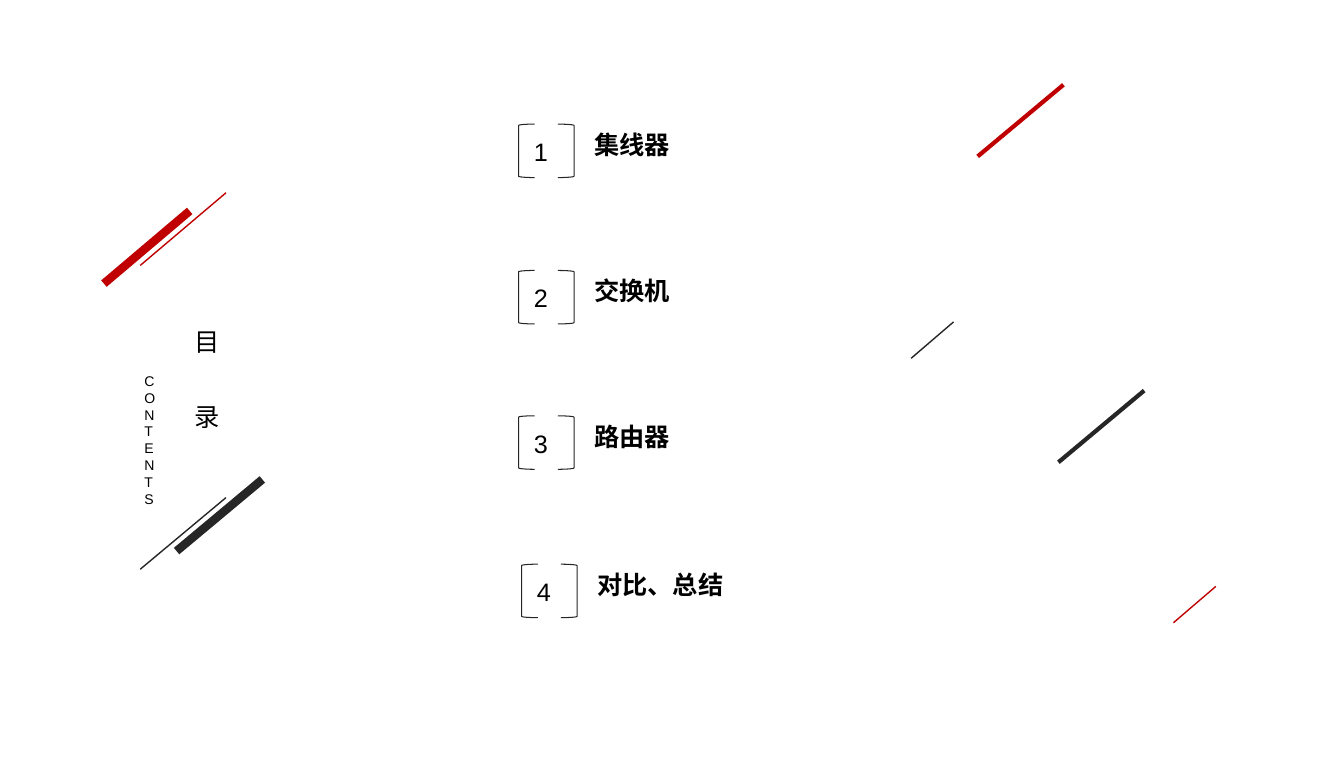
from lxml import etree
from pptx import Presentation
from pptx.dml.color import RGBColor
from pptx.enum.shapes import MSO_CONNECTOR, MSO_SHAPE
from pptx.enum.text import MSO_ANCHOR, MSO_AUTO_SIZE, PP_ALIGN
from pptx.oxml.ns import qn
from pptx.util import Inches, Pt

STRAIGHT = MSO_CONNECTOR.STRAIGHT
LEFT_BRACKET, RIGHT_BRACKET = MSO_SHAPE.LEFT_BRACKET, MSO_SHAPE.RIGHT_BRACKET
TOP, FIT, LEFT = MSO_ANCHOR.TOP, MSO_AUTO_SIZE.SHAPE_TO_FIT_TEXT, PP_ALIGN.LEFT
LATIN, CJK = "Arial", "Noto Sans CJK SC"
RED, DARK, BLACK = "C00000", "262626", "000000"


def rgb(value):
    """Turn a hex string into a colour."""
    return RGBColor.from_string(value)


def write(sp, text, font=LATIN, size=18, color=BLACK, bold=False, spacing=1.0, wrap=False):
    """Fill a shape with formatted text, one paragraph per line."""
    tf = sp.text_frame
    tf.margin_left = tf.margin_right = tf.margin_top = tf.margin_bottom = Inches(0.05)
    tf.word_wrap, tf.auto_size, tf.vertical_anchor = wrap, FIT, TOP
    for i, line in enumerate(text.split("\n")):
        p = tf.add_paragraph() if i else tf.paragraphs[0]
        p.alignment, p.line_spacing = LEFT, spacing
        r = p.add_run()
        r.text = line
        r.font.size, r.font.bold = Pt(size), bold
        r.font.color.rgb = rgb(color)
        r.font.name = font
        etree.SubElement(r._r.get_or_add_rPr(), qn("a:ea")).set("typeface", font)


def add_text(shapes, x, y, w, h, text, **fmt):
    """Add a text box."""
    write(shapes.add_textbox(Inches(x), Inches(y), Inches(w), Inches(h)), text, **fmt)


def add_stripe(shapes, x, y, w, h, color, weight):
    """Draw a stripe from the top right to the bottom left of its box."""
    line = shapes.add_connector(STRAIGHT, Inches(x + w), Inches(y), Inches(x), Inches(y + h))
    line.line.color.rgb = rgb(color)
    line.line.width = Pt(weight)
    etree.SubElement(line._element.spPr, qn("a:effectLst"))


def add_bracket(shapes, kind, x, y):
    """Draw one half of the frame around a number."""
    sp = shapes.add_shape(kind, Inches(x), Inches(y), Inches(0.16), Inches(0.53))
    sp.shadow.inherit = False
    sp.fill.background()
    sp.line.color.rgb = rgb(DARK)
    sp.line.width = Pt(0.75)


def add_heading(s, x, y):
    """Place the vertical title and its subtitle between two pairs of stripes."""
    for stripes in (
        [(0, 0.18, 0.85, 0.72, RED, 6), (0.36, 0, 0.85, 0.72, RED, 1)],
        [(0.72, 2.84, 0.85, 0.71, DARK, 6), (0.36, 3.02, 0.85, 0.71, DARK, 1)],
    ):
        group = s.shapes.add_group_shape()
        for dx, dy, *style in stripes:
            add_stripe(group.shapes, x + dx, y + dy, *style)
    title = s.shapes.title
    title.left, title.top = Inches(x + 0.85), Inches(y + 0.82)
    title.width, title.height = Inches(0.43), Inches(1.32)
    write(title, "目\n录", font=CJK, spacing=2.5)
    add_text(s.shapes, x + 0.35, y + 1.73, 0.25, 1.32, "CONTENTS", size=10, wrap=True)


def add_entry(s, x, y, number, label):
    """Place a bracketed number and its label."""
    shapes = s.shapes.add_group_shape().shapes
    add_text(shapes, x + 0.1, y + 0.07, 0.25, 0.38, str(number))
    add_bracket(shapes, LEFT_BRACKET, x, y)
    add_bracket(shapes, RIGHT_BRACKET, x + 0.39, y)
    add_text(shapes, x + 0.7, y, 0.25 * len(label) + 0.11, 0.4, label, font=CJK, bold=True)


def add_decoration(s, x, y):
    """Scatter stripes over the right side."""
    for dx, dy, w, h, color, weight in (
        (0.66, 0, 0.85, 0.71, RED, 3),
        (0, 2.35, 0.42, 0.36, DARK, 1),
        (2.6, 4.97, 0.42, 0.36, RED, 1),
        (1.46, 3.03, 0.85, 0.71, DARK, 3),
    ):
        add_stripe(s.shapes, x + dx, y + dy, w, h, color, weight)


def main():
    """Build the contents slide."""
    prs = Presentation()
    prs.slide_width, prs.slide_height = Inches(13.32), Inches(7.5)
    s = prs.slides.add_slide(prs.slide_layouts[5])
    add_heading(s, 1.03, 1.91)
    entries = [
        (5.14, 1.23, "集线器"),
        (5.14, 2.68, "交换机"),
        (5.14, 4.12, "路由器"),
        (5.17, 5.59, "对比、总结"),
    ]
    for number, (x, y, label) in enumerate(entries, 1):
        add_entry(s, x, y, number, label)
    add_decoration(s, 9.03, 0.84)
    prs.save("out.pptx")


if __name__ == "__main__":
    main()
